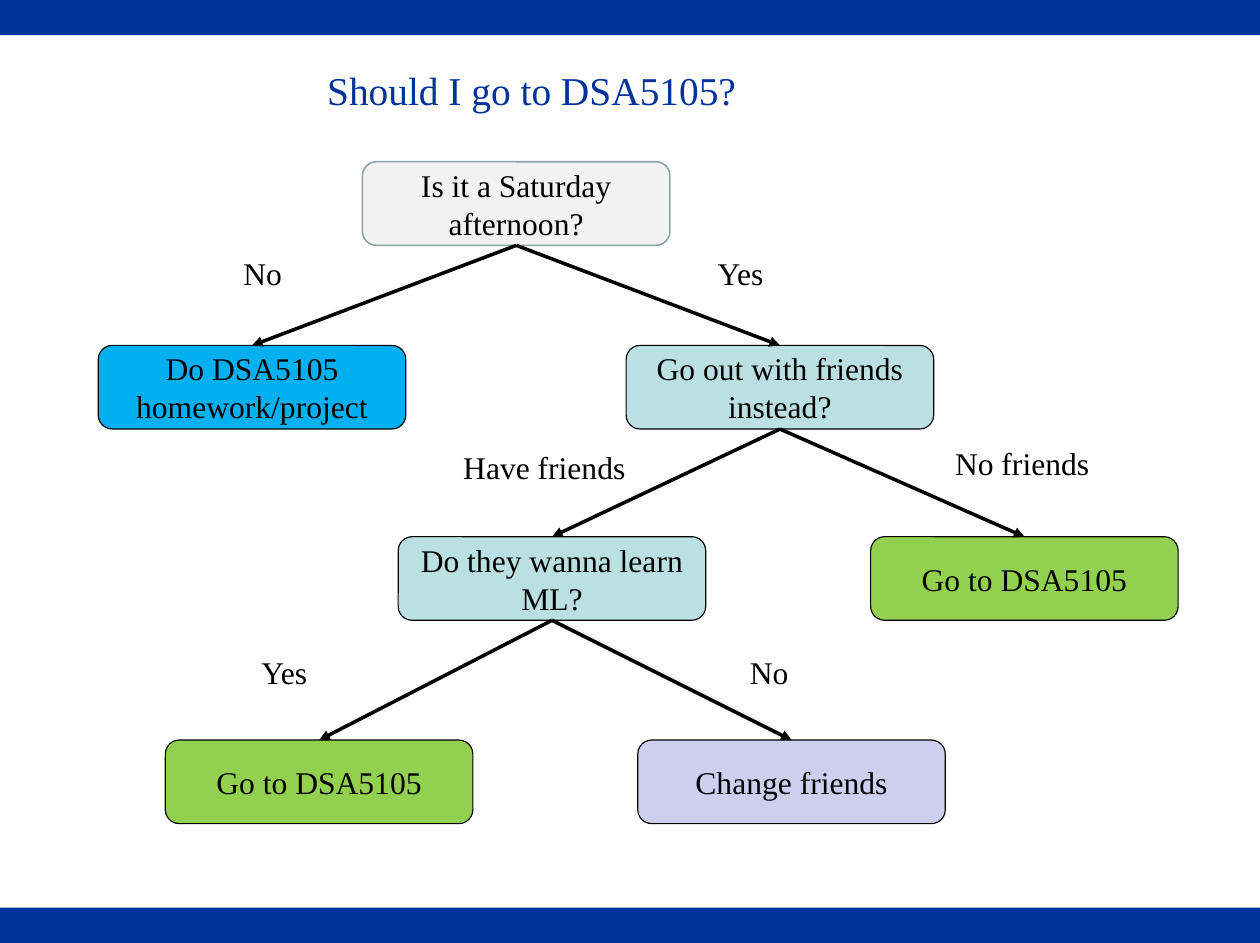
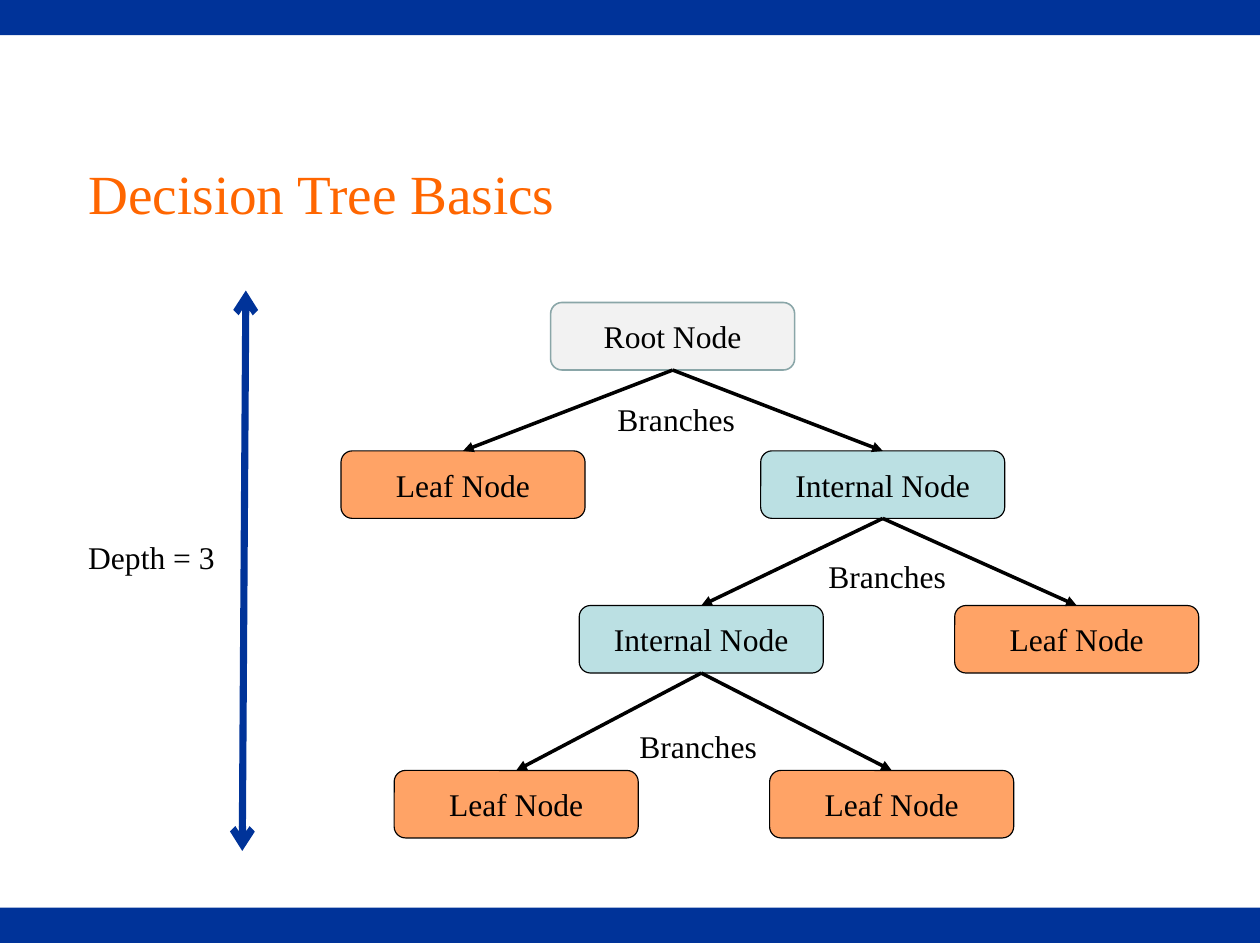
"""Build two decision-tree slides with shared bands, nodes, branches and labels."""
from typing import NamedTuple, Optional

from lxml import etree
from pptx import Presentation
from pptx import util as u
from pptx.dml.color import RGBColor
from pptx.enum import shapes, text
from pptx.oxml.ns import qn

NAVY = RGBColor(0x00, 0x33, 0x99)
ORANGE = RGBColor(0xFF, 0x66, 0x00)
BLACK = RGBColor(0x00, 0x00, 0x00)
GRAY = RGBColor(0xF2, 0xF2, 0xF2)
GRAY_TEAL = RGBColor(0x8A, 0xA6, 0xA8)
SKY = RGBColor(0x00, 0xB0, 0xF0)
PALE_TEAL = RGBColor(0xBB, 0xE0, 0xE3)
GREEN = RGBColor(0x92, 0xD0, 0x50)
LAVENDER = RGBColor(0xCE, 0xCE, 0xEF)
PEACH = RGBColor(0xFF, 0xA3, 0x66)

FONT = "Times New Roman"
SLIDE_WIDTH, SLIDE_HEIGHT = u.Cm(28.19), u.Cm(21.1)
BAND_HEIGHT = u.Cm(0.79)
TOP_SITE, BOTTOM_SITE = 0, 2


class Node(NamedTuple):
    wording: str
    center: float
    top: float
    fill: RGBColor
    parent: Optional[int] = None


class Label(NamedTuple):
    wording: str
    center: float
    top: float


class Tree(NamedTuple):
    node_size: tuple[float, float]
    label_size: tuple[float, float]
    nodes: list[Node]
    labels: list[Label]


ATTENDANCE = Tree(
    node_size=(6.88, 1.87),
    label_size=(5.11, 1.12),
    nodes=[
        Node("Is it a Saturday afternoon?", 11.55, 3.62, GRAY),
        Node("Do DSA5105 homework/project", 5.64, 7.73, SKY, 0),
        Node("Go out with friends instead?", 17.45, 7.73, PALE_TEAL, 0),
        Node("Do they wanna learn ML?", 12.35, 12.01, PALE_TEAL, 2),
        Node("Go to DSA5105", 22.92, 12.01, GREEN, 2),
        Node("Go to DSA5105", 7.14, 16.56, GREEN, 3),
        Node("Change friends", 17.71, 16.56, LAVENDER, 3),
    ],
    labels=[
        Label("No", 5.88, 5.56),
        Label("Yes", 16.57, 5.56),
        Label("Have friends", 12.18, 9.91),
        Label("No friends", 22.87, 9.8),
        Label("Yes", 6.36, 14.48),
        Label("No", 17.21, 14.49),
    ],
)

BASICS = Tree(
    node_size=(5.46, 1.51),
    label_size=(4.06, 0.86),
    nodes=[
        Node("Root Node", 15.05, 6.77, GRAY),
        Node("Leaf Node", 10.36, 10.09, PEACH, 0),
        Node("Internal Node", 19.75, 10.09, PALE_TEAL, 0),
        Node("Internal Node", 15.69, 13.55, PALE_TEAL, 2),
        Node("Leaf Node", 24.09, 13.55, PEACH, 2),
        Node("Leaf Node", 11.55, 17.24, PEACH, 3),
        Node("Leaf Node", 19.95, 17.24, PEACH, 3),
    ],
    labels=[
        Label("Depth = 3", 3.39, 11.91),
        Label("Branches", 15.13, 8.83),
        Label("Branches", 19.85, 12.34),
        Label("Branches", 15.62, 16.15),
    ],
)


def write(shape, wording: str, *, size: float = 20, color: RGBColor = BLACK,
          align=text.PP_ALIGN.CENTER, anchor=text.MSO_ANCHOR.TOP) -> None:
    frame = shape.text_frame
    frame.word_wrap = True
    frame.vertical_anchor = anchor
    paragraph = frame.paragraphs[0]
    paragraph.alignment = align
    run = paragraph.add_run()
    run.text = wording
    run.font.name = FONT
    run.font.size = u.Pt(size)
    run.font.color.rgb = color


def add_title(slide, wording: str, box: tuple[float, float, float, float], **text_format) -> None:
    title = slide.shapes.add_textbox(*map(u.Cm, box))
    frame = title.text_frame
    frame.margin_left = frame.margin_right = u.Cm(0.28)
    frame.margin_top = frame.margin_bottom = u.Cm(0.15)
    write(title, wording, **text_format)


def add_banded_slide(presentation):
    slide = presentation.slides.add_slide(presentation.slide_layouts[6])
    for top in (0, SLIDE_HEIGHT - BAND_HEIGHT):
        band = slide.shapes.add_shape(
            shapes.MSO_SHAPE.RECTANGLE, 0, top, SLIDE_WIDTH, BAND_HEIGHT)
        band.shadow.inherit = False
        band.fill.solid()
        band.fill.fore_color.rgb = NAVY
        band.line.fill.background()
    return slide


def add_arrow(slide, start: tuple[float, float] = (0, 0), end: tuple[float, float] = (0, 0), *,
              color: RGBColor = BLACK, width: float = 2.25, **arrowheads: str):
    connector = slide.shapes.add_connector(
        shapes.MSO_CONNECTOR.STRAIGHT, *map(u.Cm, start + end))
    connector.line.color.rgb = color
    connector.line.width = u.Pt(width)
    properties = connector.element.spPr
    outline = properties.find(qn("a:ln"))
    for name, kind in arrowheads.items():
        etree.SubElement(outline, qn(f"a:{name}"), type=kind)
    etree.SubElement(properties, qn("a:effectLst"))
    return connector


def add_node(slide, node: Node, size: tuple[float, float]):
    width, height = size
    shape = slide.shapes.add_shape(
        shapes.MSO_SHAPE.ROUNDED_RECTANGLE,
        u.Cm(node.center - width / 2), u.Cm(node.top), u.Cm(width), u.Cm(height))
    is_root = node.parent is None
    shape.shadow.inherit = False
    shape.fill.solid()
    shape.fill.fore_color.rgb = node.fill
    shape.line.color.rgb = GRAY_TEAL if is_root else BLACK
    shape.line.width = u.Pt(1 if is_root else 0.75)
    write(shape, node.wording, anchor=text.MSO_ANCHOR.MIDDLE)
    return shape


def add_tree(slide, tree: Tree) -> None:
    boxes = [add_node(slide, node, tree.node_size) for node in tree.nodes]
    for node, box in zip(tree.nodes, boxes):
        if node.parent is not None:
            branch = add_arrow(slide, tailEnd="triangle")
            branch.begin_connect(boxes[node.parent], BOTTOM_SITE)
            branch.end_connect(box, TOP_SITE)
    width, height = tree.label_size
    for label in tree.labels:
        box = slide.shapes.add_textbox(
            u.Cm(label.center - width / 2), u.Cm(label.top), u.Cm(width), u.Cm(height))
        write(box, label.wording)


def main() -> None:
    presentation = Presentation()
    presentation.slide_width, presentation.slide_height = SLIDE_WIDTH, SLIDE_HEIGHT

    slide = add_banded_slide(presentation)
    add_title(slide, "Should I go to DSA5105?", (6.6, 1.32, 10.59, 1.52), size=25, color=NAVY)
    add_tree(slide, ATTENDANCE)

    slide = add_banded_slide(presentation)
    add_title(slide, "Decision Tree Basics", (1.7, 2.54, 20.09, 3.53), size=35, color=ORANGE,
              align=text.PP_ALIGN.LEFT, anchor=text.MSO_ANCHOR.MIDDLE)
    add_arrow(slide, (5.5, 6.5), (5.42, 19.04), color=NAVY, width=4.5,
              headEnd="arrow", tailEnd="arrow")
    add_tree(slide, BASICS)

    presentation.save("out.pptx")


if __name__ == "__main__":
    main()
